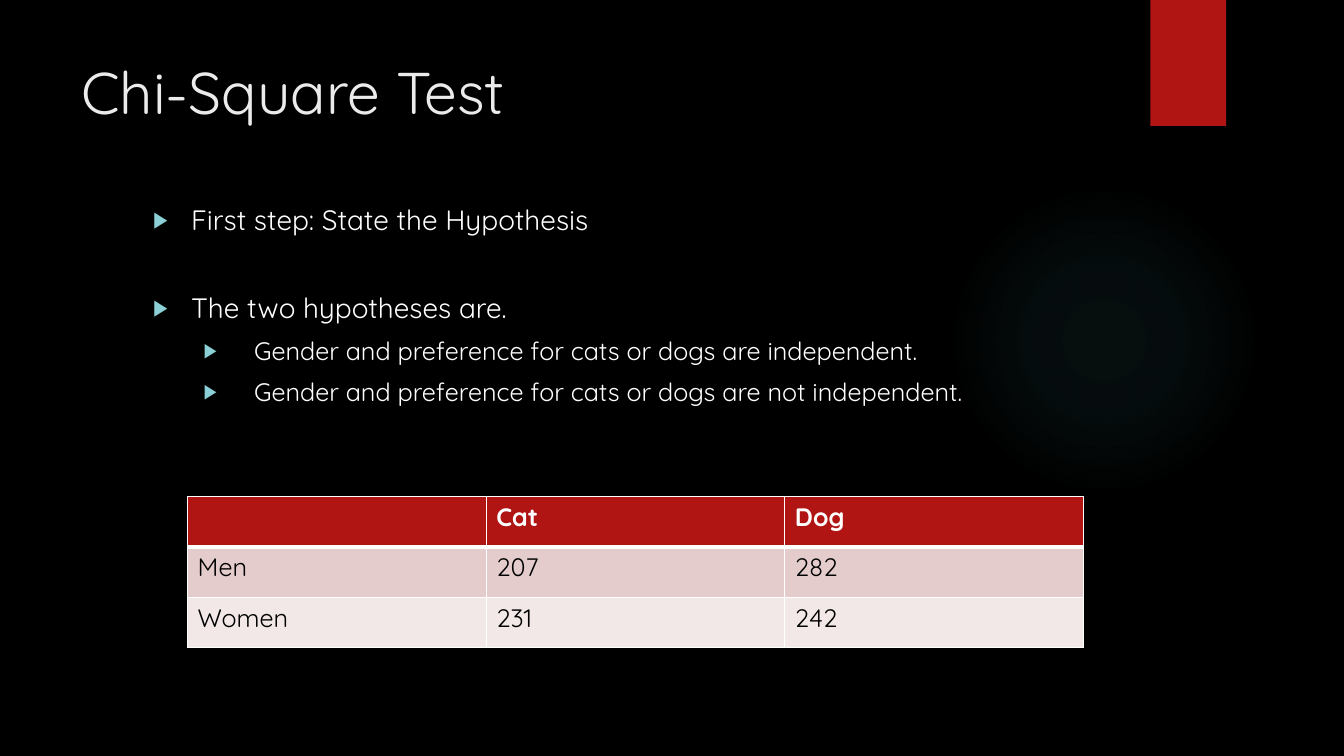
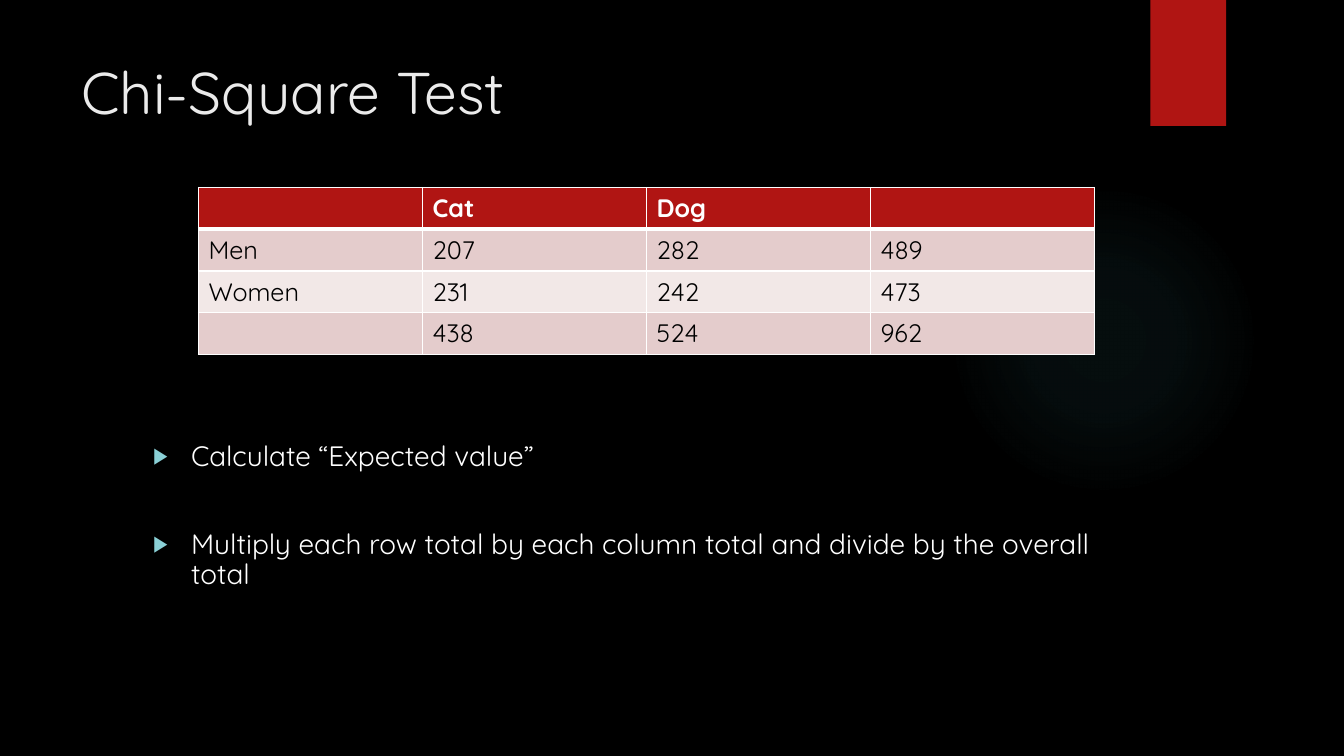
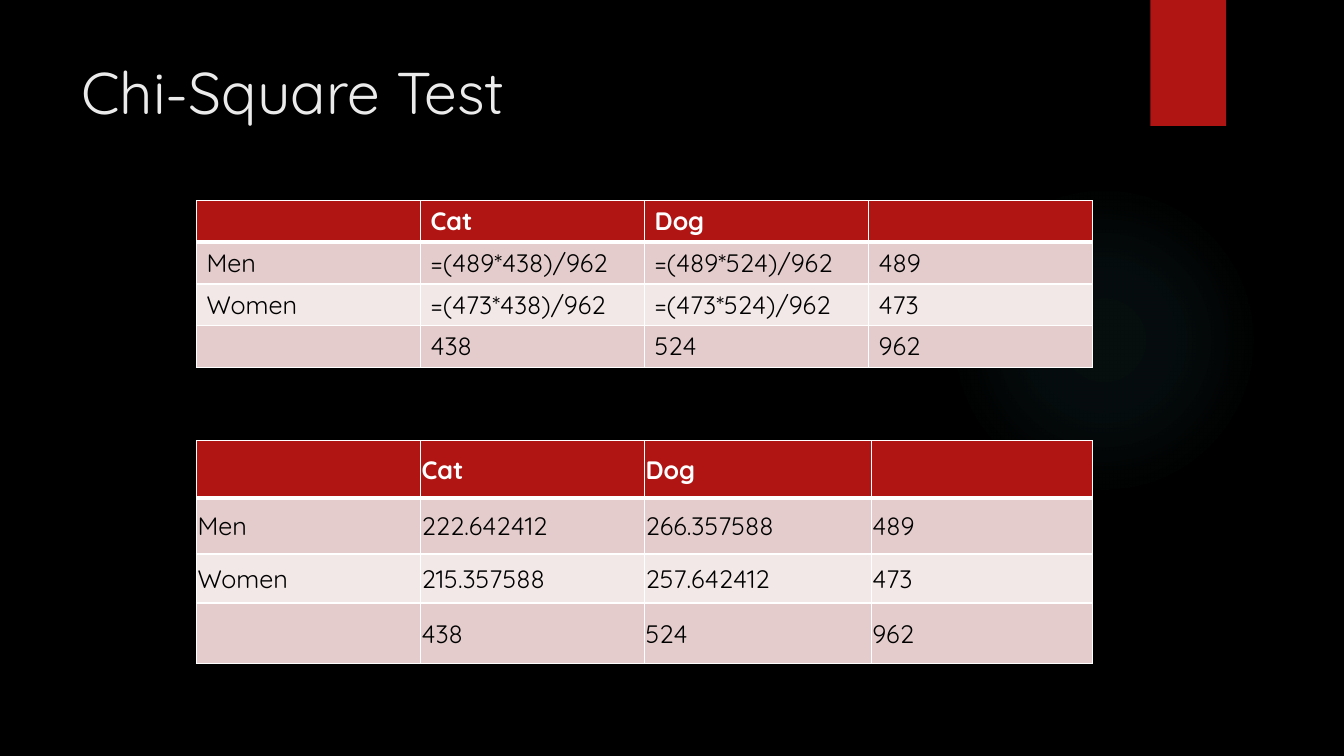
from dataclasses import dataclass

from lxml.etree import SubElement
from pptx import Presentation
from pptx.dml.color import RGBColor
from pptx.enum.shapes import MSO_SHAPE
from pptx.enum.text import MSO_ANCHOR, MSO_AUTO_SIZE, PP_ALIGN
from pptx.oxml import parse_xml
from pptx.oxml.ns import nsdecls, qn
from pptx.util import Pt

FONT = "Quicksand"
BLACK = RGBColor(0x00, 0x00, 0x00)
WHITE = RGBColor(0xFF, 0xFF, 0xFF)
TITLE_GRAY = RGBColor(0xEB, 0xEB, 0xEB)
RED = RGBColor(0xB0, 0x15, 0x13)
ROSE = RGBColor(0xE4, 0xCC, 0xCC)
PALE_ROSE = RGBColor(0xF2, 0xE8, 0xE7)
TEAL = RGBColor(0x50, 0xB9, 0xC1)
BULLET_BLUE = RGBColor(0x8A, 0xD0, 0xD6)

TITLE = "Chi-Square Test"
BODY_LEFT, BODY_WIDTH = 102.24, 704.16
TABLE_WIDTH = 640
GROUP_GAP = 41  # space before a new group of bullets


@dataclass(frozen=True)
class Bullet:
    text: str
    level: int = 0
    space_before: float = 10


@dataclass(frozen=True)
class TableSpec:
    left: float
    top: float
    columns: list[float]
    rows: list[float]
    values: list[list[str]]
    compact: bool = False  # thin insets, text centred vertically


def place(shape, left: float, top: float, width: float, height: float) -> None:
    shape.left, shape.top = Pt(left), Pt(top)
    shape.width, shape.height = Pt(width), Pt(height)


def write(paragraph, text: str, *, size: float, color: RGBColor,
          bold: bool = False) -> None:
    """Put formatted, left-aligned text in a paragraph."""
    paragraph.alignment = PP_ALIGN.LEFT
    paragraph.font.size = Pt(size)
    if not text:
        return
    run = paragraph.add_run()
    run.text = text
    run.font.name = FONT
    run.font.size = Pt(size)
    run.font.bold = bold
    run.font.color.rgb = color


# Shared design
def set_up_master(master, slide) -> None:
    """Give the master its background, title place, glow and banner."""
    master.background.fill.solid()
    master.background.fill.fore_color.rgb = BLACK
    title = next(shape for shape in master.placeholders
                 if shape.placeholder_format.idx == 0)
    place(title, 51, 36, 741, 67)
    title.text_frame.vertical_anchor = MSO_ANCHOR.TOP

    glow = slide.shapes.add_shape(
        MSO_SHAPE.OVAL, Pt(677.5), Pt(131.8), Pt(221.8), Pt(221.8))
    banner = slide.shapes.add_shape(
        MSO_SHAPE.RECTANGLE, Pt(821.8), Pt(0), Pt(54), Pt(90))
    banner.fill.solid()
    banner.fill.fore_color.rgb = RED

    stops = "".join(
        f'<a:gs pos="{position}000"><a:srgbClr val="{TEAL}">'
        f'<a:alpha val="{alpha}000"/></a:srgbClr></a:gs>'
        for position, alpha in ((0, 7), (36, 6), (69, 0)))
    gradient = parse_xml(
        f'<a:gradFill {nsdecls("a")}><a:gsLst>{stops}</a:gsLst>'
        '<a:path path="circle"><a:fillToRect l="50000" t="50000" '
        'r="50000" b="50000"/></a:path></a:gradFill>')
    glow.element.spPr.find(qn("a:prstGeom")).addnext(gradient)

    # Shapes can only be created on a slide, so move them to the master
    for offset, shape in enumerate((glow, banner)):
        shape.line.fill.background()
        shape.shadow.inherit = False
        shape.element.nvSpPr.cNvPr.id = 20 + offset
        master.shapes.element.insert(2 + offset, shape.element)


def add_title(slide, text: str) -> None:
    frame = slide.shapes.title.text_frame
    frame.auto_size = MSO_AUTO_SIZE.NONE
    write(frame.paragraphs[0], text, size=42, color=TITLE_GRAY)


# Bulleted body
def set_bullet(paragraph, margin: float, hanging: float) -> None:
    properties = paragraph._p.get_or_add_pPr()
    properties.set("marL", str(Pt(margin)))
    properties.set("indent", str(-Pt(hanging)))
    color = SubElement(properties, qn("a:buClr"))
    SubElement(color, qn("a:srgbClr"), val=str(BULLET_BLUE))
    SubElement(properties, qn("a:buSzPct"), val="80000")
    SubElement(properties, qn("a:buFont"), typeface="Arial")
    SubElement(properties, qn("a:buChar"), char="▶")


def add_bullets(slide, top: float, height: float, bullets: list[Bullet]) -> None:
    body = slide.placeholders[1]
    place(body, BODY_LEFT, top, BODY_WIDTH, height)
    frame = body.text_frame
    frame.auto_size = MSO_AUTO_SIZE.NONE
    for index, bullet in enumerate(bullets):
        paragraph = frame.add_paragraph() if index else frame.paragraphs[0]
        paragraph.level = bullet.level
        paragraph.line_spacing = 0.9
        paragraph.space_before = Pt(bullet.space_before)
        write(paragraph, bullet.text, size=18 if bullet.level else 20, color=WHITE)
        if bullet.level:
            set_bullet(paragraph, margin=72, hanging=36)
        else:
            set_bullet(paragraph, margin=27, hanging=27)


# Tables
def set_borders(cell, **widths: float) -> None:
    """Draw white borders; keywords are the sides L, R, T and B."""
    properties = cell._tc.get_or_add_tcPr()
    for index, (side, width) in enumerate(widths.items()):
        properties.insert(index, parse_xml(
            f'<a:ln{side} {nsdecls("a")} w="{Pt(width)}"><a:solidFill>'
            f'<a:srgbClr val="{WHITE}"/></a:solidFill></a:ln{side}>'))


def add_data_table(slide, spec: TableSpec) -> None:
    table = slide.shapes.add_table(
        len(spec.rows), len(spec.columns), Pt(spec.left), Pt(spec.top),
        Pt(sum(spec.columns)), Pt(sum(spec.rows))).table
    table.horz_banding = False
    for column, width in zip(table.columns, spec.columns):
        column.width = Pt(width)
    for row_index, (row, height) in enumerate(zip(table.rows, spec.rows)):
        row.height = Pt(height)
        header = row_index == 0
        fill = RED if header else ROSE if row_index % 2 else PALE_ROSE
        for cell, text in zip(row.cells, spec.values[row_index]):
            cell.fill.solid()
            cell.fill.fore_color.rgb = fill
            set_borders(cell, L=1, R=1, T=3 if row_index == 1 else 1,
                        B=3 if header else 1)
            if spec.compact:
                cell.vertical_anchor = MSO_ANCHOR.MIDDLE
                cell.margin_left = cell.margin_right = cell.margin_top = Pt(0.72)
                cell.margin_bottom = Pt(0)
            write(cell.text_frame.paragraphs[0], text, size=18,
                  color=WHITE if header else BLACK, bold=header)


def with_totals(men: list[str], women: list[str]) -> list[list[str]]:
    return [["", "Cat", "Dog", ""],
            ["Men", *men, "489"],
            ["Women", *women, "473"],
            ["", "438", "524", "962"]]


def main() -> None:
    presentation = Presentation()
    presentation.slide_width, presentation.slide_height = Pt(960), Pt(540)
    content_layout = presentation.slide_layouts[1]
    title_layout = presentation.slide_layouts[5]
    thirds, quarters = [TABLE_WIDTH / 3] * 3, [TABLE_WIDTH / 4] * 4
    four_rows = [29.5] * 4

    # Hypotheses
    hypotheses = presentation.slides.add_slide(content_layout)
    set_up_master(presentation.slide_master, hypotheses)
    add_title(hypotheses, TITLE)
    add_bullets(hypotheses, 144, 360, [
        Bullet("First step: State the Hypothesis"),
        Bullet("The two hypotheses are.", space_before=GROUP_GAP),
        Bullet("Gender and preference for cats or dogs are independent.", 1),
        Bullet("Gender and preference for cats or dogs are not independent.", 1),
    ])
    add_data_table(hypotheses, TableSpec(134, 354.5, thirds, [36] * 3, [
        ["", "Cat", "Dog"],
        ["Men", "207", "282"],
        ["Women", "231", "242"],
    ]))

    # Observed counts with totals
    observed = presentation.slides.add_slide(content_layout)
    add_title(observed, TITLE)
    add_bullets(observed, 312.5, 147, [
        Bullet("Calculate “Expected value”"),
        Bullet("Multiply each row total by each column total and divide by "
               "the overall total", space_before=GROUP_GAP),
    ])
    add_data_table(observed, TableSpec(
        141.8, 134, quarters, four_rows,
        with_totals(["207", "282"], ["231", "242"])))

    # Expected values: formulas, then results
    expected = presentation.slides.add_slide(title_layout)
    add_title(expected, TITLE)
    add_data_table(expected, TableSpec(
        140.4, 143.3, quarters, four_rows,
        with_totals(["=(489*438)/962", "=(489*524)/962"],
                    ["=(473*438)/962", "=(473*524)/962"])))
    add_data_table(expected, TableSpec(
        140.4, 314.8, [160, 160, 162, 158], [41, 40, 35, 43],
        with_totals(["222.642412", "266.357588"], ["215.357588", "257.642412"]),
        compact=True))

    presentation.save("out.pptx")


if __name__ == "__main__":
    main()
